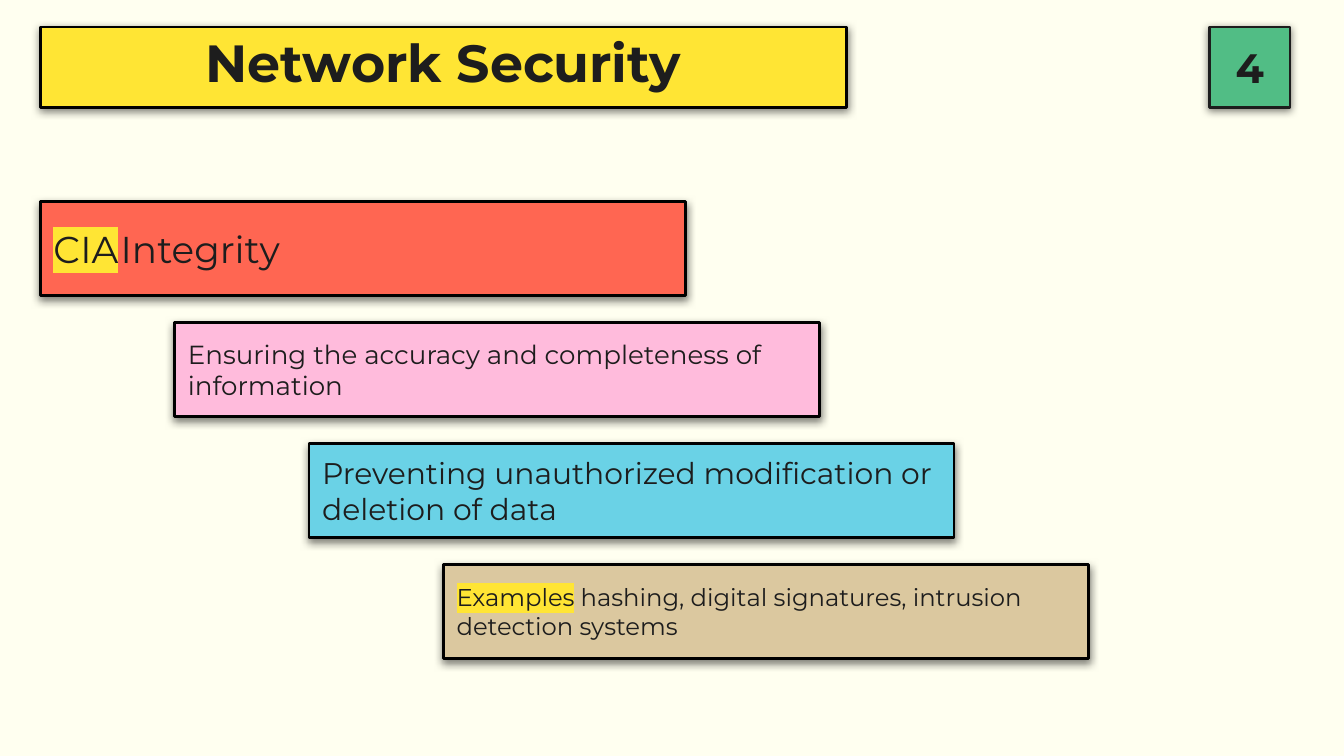
from lxml.etree import SubElement
from pptx import Presentation
from pptx.dml.color import RGBColor
from pptx.enum.shapes import MSO_SHAPE as Kind
from pptx.enum.text import MSO_ANCHOR as Anchor, MSO_AUTO_SIZE as Fit, PP_ALIGN as Align
from pptx.oxml.ns import qn
from pptx.util import Cm, Pt

INK, BLACK, YELLOW = "1D1D1D", "000000", "FFE534"
PAD = Cm(0.25)


def color(code):
    return RGBColor.from_string(code)


def apply(item, values):
    for name, value in values.items():
        setattr(item, name, value)


def shade(shape):
    """Soft shadow straight below the shape."""
    shape.shadow.inherit = False
    effects = shape._element.spPr.find(qn("a:effectLst"))
    outer = SubElement(effects, qn("a:outerShdw"), blurRad=str(Pt(4.5)),
                       dist=str(Pt(1.5)), dir="5400000", algn="bl", rotWithShape="0")
    tint = SubElement(outer, qn("a:srgbClr"), val=BLACK)
    SubElement(tint, qn("a:alpha"), val="50000")


def mark(run, code):
    """Highlight, which must follow the fill of the run."""
    props = run._r.get_or_add_rPr()
    light = SubElement(props, qn("a:highlight"))
    SubElement(light, qn("a:srgbClr"), val=code)
    props.find(qn("a:solidFill")).addnext(light)


def fill_card(shape, box, paint, parts, size, edge=BLACK, bold=False,
              align=Align.LEFT, spacing=1.0):
    """Bordered card; parts are (text, highlight) pairs."""
    # Frame
    apply(shape, dict(zip(("left", "top", "width", "height"), map(Cm, box))))
    shape.fill.solid()
    shape.fill.fore_color.rgb = color(paint)
    shape.line.color.rgb = color(edge)
    shape.line.width = Pt(1.5)
    shade(shape)

    # Text area
    frame = shape.text_frame
    apply(frame, dict(word_wrap=True, auto_size=Fit.NONE, vertical_anchor=Anchor.MIDDLE,
                      margin_left=PAD, margin_right=PAD, margin_top=PAD, margin_bottom=PAD))
    para = frame.paragraphs[0]
    apply(para, dict(alignment=align, line_spacing=spacing, space_before=Pt(0)))
    props = para._p.get_or_add_pPr()
    apply_xml = {"marL": "0", "indent": "0"}
    for name, value in apply_xml.items():
        props.set(name, value)
    SubElement(props, qn("a:buNone"))
    tabs = SubElement(props, qn("a:tabLst"))
    SubElement(tabs, qn("a:tab"), pos=str(Cm(2.54)), algn="l")

    # Runs
    for text, light in parts:
        run = para.add_run()
        run.text = text
        apply(run.font, dict(size=Pt(size), name="Montserrat", bold=bold))
        run.font.color.rgb = color(INK)
        if light:
            mark(run, light)


def add_header(slide, box):
    """Title bar at the left and number badge at the right of the box."""
    left, top, width, height = box
    fill_card(slide.shapes.title, (left, top, 15.24, height), YELLOW,
              [("Network Security", None)], 28, bold=True,
              align=Align.CENTER, spacing=0.8)
    badge = slide.shapes.add_shape(Kind.RECTANGLE, 0, 0, 0, 0)
    fill_card(badge, (left + width - height, top, height, height), "51BD85",
              [("4", None)], 22, edge=INK, bold=True, align=Align.CENTER)


def add_steps(slide, box, steps):
    """Staircase of cards from the top left to the bottom right of the box."""
    left, top, width, height = box
    wide, high = 12.19, 1.78
    across = (width - wide) / (len(steps) - 1)
    down = (height - high) / (len(steps) - 1)
    bodies = [hold for hold in slide.placeholders if hold.placeholder_format.idx > 0]
    for i, (body, (paint, size, parts)) in enumerate(zip(bodies, steps)):
        fill_card(body, (left + i * across, top + i * down, wide, high),
                  paint, parts, size)


STEPS = [
    ("FF6652", 20, [("CIA", YELLOW), ("\tIntegrity", None)]),
    ("FFBBDC", 14, [("Ensuring the accuracy and completeness of information", None)]),
    ("6AD2E6", 16, [("Preventing unauthorized modification or deletion of data", None)]),
    ("DBC89F", 13, [("Examples", YELLOW),
                    (" hashing, digital signatures, intrusion detection systems", None)]),
]


def main():
    deck = Presentation()
    apply(deck, dict(slide_width=Cm(25.4), slide_height=Cm(14.29)))
    # The comparison layout holds a title and four bodies
    slide = deck.slides.add_slide(deck.slide_layouts[4])
    back = slide.background.fill
    back.solid()
    back.fore_color.rgb = color("FFFFF0")
    add_header(slide, (0.76, 0.51, 23.62, 1.52))
    add_steps(slide, (0.76, 3.81, 19.81, 8.64), STEPS)
    deck.save("out.pptx")


if __name__ == "__main__":
    main()
